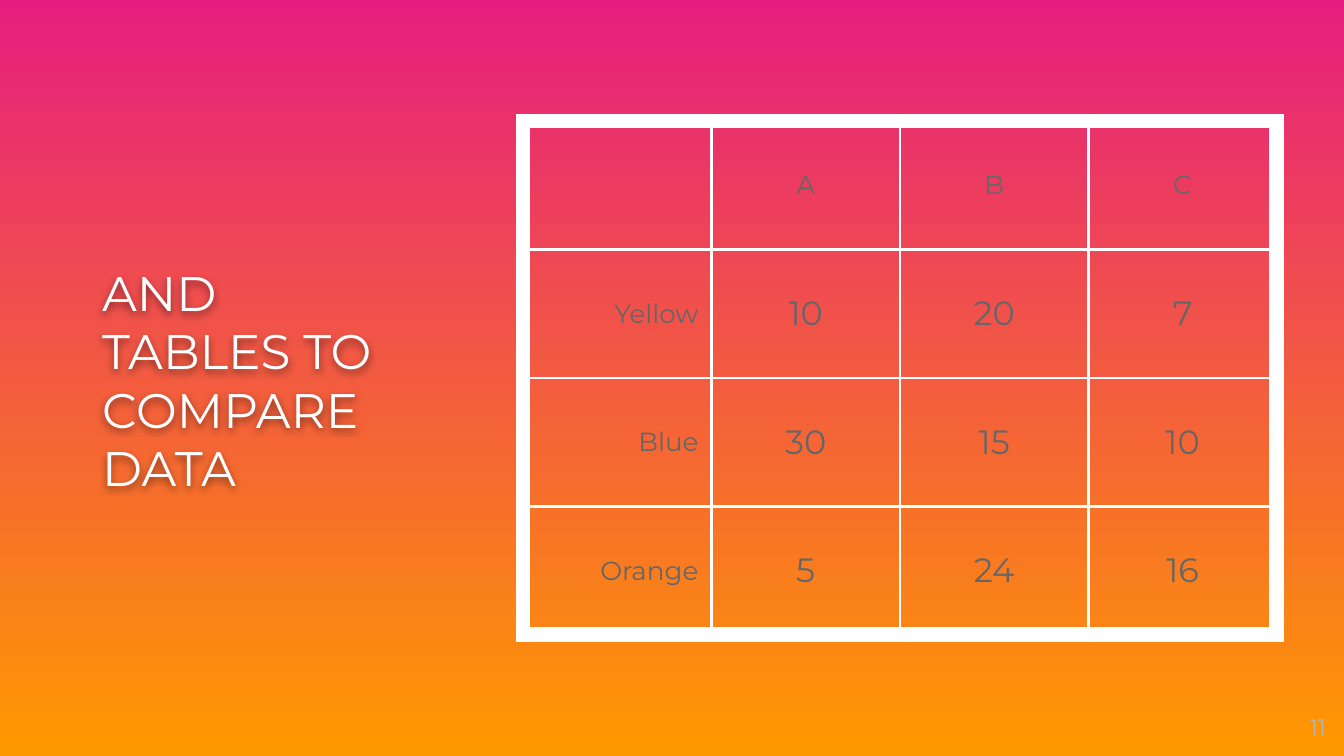
from dataclasses import dataclass

from lxml.etree import SubElement
from pptx import Presentation
from pptx.dml.color import RGBColor
from pptx.enum.text import MSO_ANCHOR, MSO_AUTO_SIZE, PP_ALIGN
from pptx.oxml.ns import qn
from pptx.util import Emu, Pt


@dataclass(frozen=True)
class Theme:
    font: str = "Montserrat"
    top: str = "E61E7F"
    base: str = "FF9900"
    white: str = "FFFFFF"
    gray: str = "666666"
    pale: str = "B7B7B7"
    title: int = 26
    value: int = 18
    label: int = 14
    number: int = 12
    frame: float = 9
    rule: float = 1.5


THEME = Theme()
ROWS = [
    ["", "A", "B", "C"],
    ["Yellow", "10", "20", "7"],
    ["Blue", "30", "15", "10"],
    ["Orange", "5", "24", "16"],
]


def px(count):
    """Turn pixels into EMU: 1344 px make 10 inches."""
    return Emu(round(count * 9144000 / 1344))


def place(shape, left, top, width, height):
    shape.left, shape.top = px(left), px(top)
    shape.width, shape.height = px(width), px(height)


def style(para, size, color, align):
    para.alignment = align
    para.font.name = THEME.font
    para.font.size = Pt(size)
    para.font.color.rgb = RGBColor.from_string(color)


def write(shape, text, size, color, align):
    frame = shape.text_frame
    frame.text = text
    frame.word_wrap = True
    frame.auto_size = MSO_AUTO_SIZE.NONE
    frame.vertical_anchor = MSO_ANCHOR.MIDDLE
    frame.margin_left = frame.margin_right = 0
    frame.margin_top = frame.margin_bottom = 0
    style(frame.paragraphs[0], size, color, align)


def paint(slide):
    fill = slide.background.fill
    fill.gradient()
    fill.gradient_angle = 270
    for stop, color in zip(fill.gradient_stops, (THEME.top, THEME.base)):
        stop.color.rgb = RGBColor.from_string(color)


def add_glow(shape):
    """Add a soft shadow below the text."""
    effects = SubElement(shape._element.spPr, qn("a:effectLst"))
    shadow = SubElement(effects, qn("a:outerShdw"), blurRad=str(Pt(4.5)),
                        dist=str(Pt(1.5)), dir="5400000", algn="bl",
                        rotWithShape="0")
    color = SubElement(shadow, qn("a:srgbClr"), val="000000")
    SubElement(color, qn("a:alpha"), val="50000")


def add_edge(cell, side, width):
    props = cell._tc.get_or_add_tcPr()
    line = SubElement(props, qn(f"a:ln{side}"), w=str(Pt(width)))
    fill = SubElement(line, qn("a:solidFill"))
    SubElement(fill, qn("a:srgbClr"), val=THEME.white)
    SubElement(line, qn("a:prstDash"), val="solid")


def fill_cell(cell, text, row, col):
    # Thick edges on the outside, thin rules within
    last = len(ROWS) - 1, len(ROWS[0]) - 1
    outer = {"L": col == 0, "R": col == last[1],
             "T": row == 0, "B": row == last[0]}
    for side, thick in outer.items():
        add_edge(cell, side, THEME.frame if thick else THEME.rule)
    cell.fill.background()

    # Labels are smaller than values
    cell.text = text
    cell.vertical_anchor = MSO_ANCHOR.MIDDLE
    cell.margin_left = cell.margin_right = px(13)
    cell.margin_top = cell.margin_bottom = px(9)
    size = THEME.value if row and col else THEME.label
    align = PP_ALIGN.CENTER if col else PP_ALIGN.RIGHT
    style(cell.text_frame.paragraphs[0], size, THEME.gray, align)


def add_grid(slide, left, top, width, height):
    count, span = len(ROWS), len(ROWS[0])
    table = slide.shapes.add_table(
        count, span, px(left), px(top), px(width), px(height)).table
    table.first_row = table.horz_banding = False
    for row, texts in enumerate(ROWS):
        for col, text in enumerate(texts):
            fill_cell(table.cell(row, col), text, row, col)


def main():
    deck = Presentation()
    deck.slide_width, deck.slide_height = px(1344), px(756)
    slide = deck.slides.add_slide(deck.slide_layouts[5])
    paint(slide)

    # Title
    title = slide.shapes.title
    place(title, 102, 135, 297, 489)
    write(title, "AND TABLES TO COMPARE DATA", THEME.title, THEME.white,
          PP_ALIGN.LEFT)
    add_glow(title)

    # Table
    add_grid(slide, 523, 121, 754, 514)

    # Slide number
    number = slide.shapes.add_textbox(0, 0, 0, 0)
    place(number, 1246, 698, 80, 58)
    write(number, "11", THEME.number, THEME.pale, PP_ALIGN.RIGHT)

    deck.save("out.pptx")


if __name__ == "__main__":
    main()
